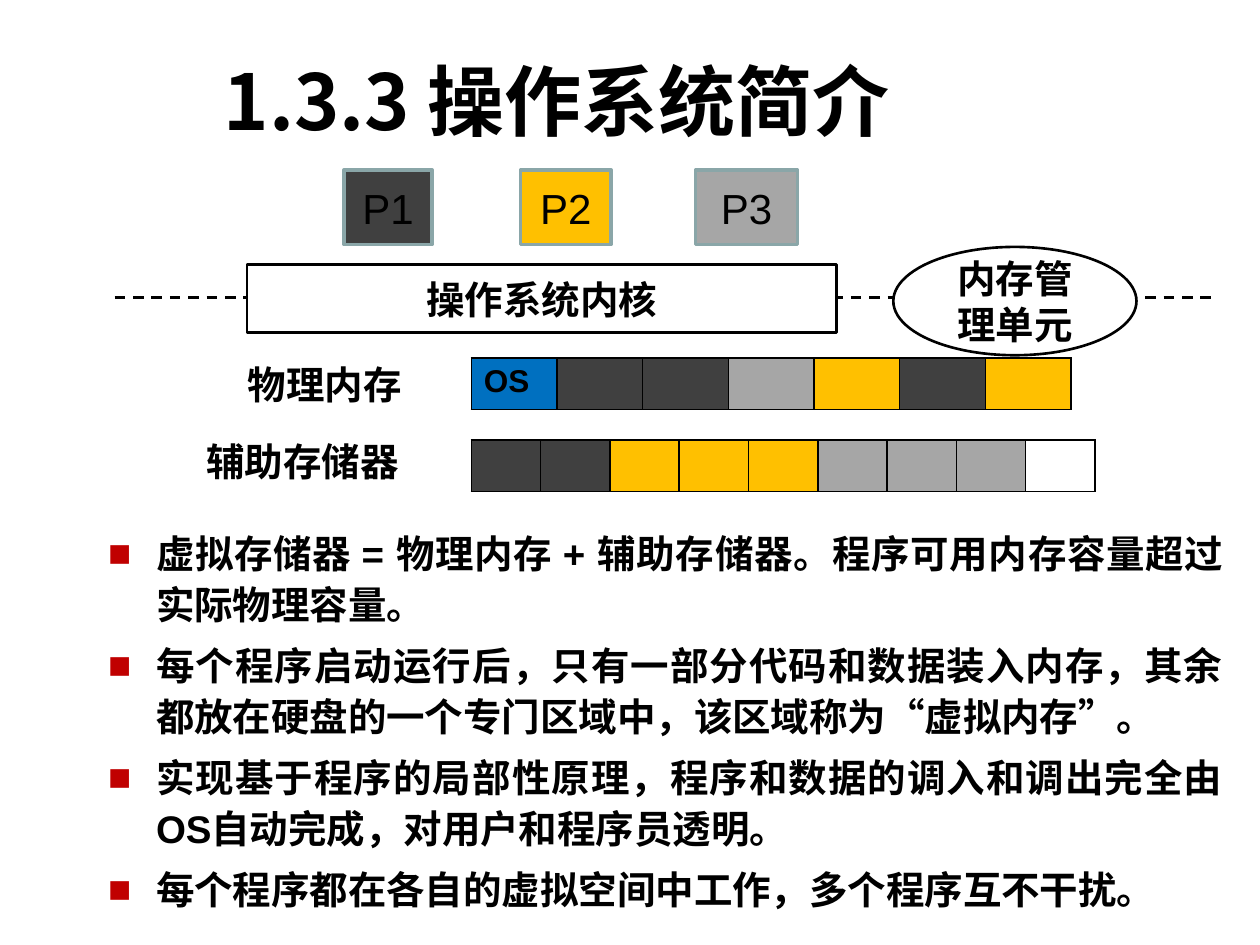
from dataclasses import dataclass

from lxml.etree import SubElement
from pptx import Presentation
from pptx.dml.color import RGBColor
from pptx.enum.dml import MSO_LINE
from pptx.enum.shapes import MSO_CONNECTOR, MSO_SHAPE
from pptx.enum.text import MSO_ANCHOR, PP_ALIGN
from pptx.oxml.ns import qn
from pptx.util import Inches, Pt


@dataclass(frozen=True)
class Theme:
    black: str = "000000"
    white: str = "FFFFFF"
    system: str = "0070C0"
    first: str = "404040"
    second: str = "FFC000"
    third: str = "A6A6A6"
    process_edge: str = "8AA6A8"
    bullet: str = "C00000"
    body_font: str = "Arial"
    label_font: str = "League Spartan"
    chinese_font: str = "Noto Sans CJK SC"
    title_size: int = 44
    process_size: int = 24
    body_size: int = 22
    cell_size: int = 18


@dataclass(frozen=True)
class Node:
    text: str
    left: float
    top: float
    width: float
    height: float
    fill: str
    edge: str
    edge_width: float
    size: int
    bold: bool
    kind: MSO_SHAPE = MSO_SHAPE.RECTANGLE


@dataclass(frozen=True)
class MemoryStrip:
    label: str
    label_left: float
    label_top: float
    label_width: float
    top: float
    cell_width: float
    fills: tuple[str, ...]
    first_text: str = ""


THEME = Theme()
STRIP_LEFT = 3.74
STRIP_HEIGHT = 0.41

PROCESSES = [
    Node(text, left, 1.35, width, 0.59, fill, THEME.process_edge, 2, THEME.process_size, False)
    for text, left, width, fill in (
        ("P1", 2.73, 0.7, THEME.first),
        ("P2", 4.13, 0.72, THEME.second),
        ("P3", 5.52, 0.81, THEME.third),
    )
]
KERNEL = Node("操作系统内核", 1.96, 2.1, 4.68, 0.54, THEME.white, THEME.black, 1.5, THEME.body_size, True)
MEMORY_UNIT = Node("内存管理单元", 7.09, 1.96, 1.93, 0.86, THEME.white, THEME.black, 1.5,
                   THEME.body_size, True, MSO_SHAPE.OVAL)

STRIPS = [
    MemoryStrip("物理内存", 1.87, 2.82, 1.44, 2.84, 0.68,
                (THEME.system, THEME.first, THEME.first, THEME.third,
                 THEME.second, THEME.first, THEME.second), "OS"),
    MemoryStrip("辅助存储器", 1.54, 3.43, 1.75, 3.49, 0.55,
                (THEME.first,) * 2 + (THEME.second,) * 3 + (THEME.third,) * 3 + (THEME.white,)),
]

POINTS = [
    "虚拟存储器 = 物理内存 + 辅助存储器。程序可用内存容量超过实际物理容量。",
    "每个程序启动运行后，只有一部分代码和数据装入内存，其余都放在硬盘的一个专门区域中，该区域称为“虚拟内存”。",
    "实现基于程序的局部性原理，程序和数据的调入和调出完全由OS自动完成，对用户和程序员透明。",
    "每个程序都在各自的虚拟空间中工作，多个程序互不干扰。",
]


def color(value: str) -> RGBColor:
    return RGBColor.from_string(value)


def style_runs(paragraph, size: int, bold: bool = True, font: str = THEME.body_font) -> None:
    for span in paragraph.runs:
        span.font.size = Pt(size)
        span.font.bold = bold
        span.font.name = font
        span.font.color.rgb = color(THEME.black)
        SubElement(span.font._element, qn("a:ea"), typeface=THEME.chinese_font)


def add_text_box(page, left: float, top: float, width: float, height: float, wrap: bool = True):
    box = page.shapes.add_textbox(Inches(left), Inches(top), Inches(width), Inches(height))
    box.text_frame.word_wrap = wrap
    return box.text_frame


def add_title(page, text: str) -> None:
    frame = add_text_box(page, 0.34, 0.22, 8.16, 0.7)
    frame.vertical_anchor = MSO_ANCHOR.MIDDLE
    frame.text = text
    paragraph = frame.paragraphs[0]
    paragraph.alignment = PP_ALIGN.CENTER
    paragraph.line_spacing = 1.6
    style_runs(paragraph, THEME.title_size, font=THEME.chinese_font)


def add_divider(page) -> None:
    line = page.shapes.add_connector(
        MSO_CONNECTOR.STRAIGHT, Inches(0.91), Inches(2.36), Inches(9.62), Inches(2.36))
    line.line.color.rgb = color(THEME.black)
    line.line.width = Pt(1.5)
    line.line.dash_style = MSO_LINE.DASH
    SubElement(line._element.spPr, qn("a:effectLst"))


def add_node(page, node: Node) -> None:
    shape = page.shapes.add_shape(
        node.kind, Inches(node.left), Inches(node.top), Inches(node.width), Inches(node.height))
    shape.shadow.inherit = False
    shape.fill.solid()
    shape.fill.fore_color.rgb = color(node.fill)
    shape.line.color.rgb = color(node.edge)
    shape.line.width = Pt(node.edge_width)
    frame = shape.text_frame
    frame.word_wrap = True
    frame.vertical_anchor = MSO_ANCHOR.MIDDLE
    frame.text = node.text
    frame.paragraphs[0].alignment = PP_ALIGN.CENTER
    style_runs(frame.paragraphs[0], node.size, node.bold)


def format_cell(cell, fill: str) -> None:
    properties = cell._tc.get_or_add_tcPr()
    for side in ("a:lnL", "a:lnR", "a:lnT", "a:lnB"):
        border = SubElement(properties, qn(side), w=str(Pt(1)))
        paint = SubElement(border, qn("a:solidFill"))
        SubElement(paint, qn("a:srgbClr"), val=THEME.black)
    cell.fill.solid()
    cell.fill.fore_color.rgb = color(fill)


def add_strip(page, strip: MemoryStrip) -> None:
    count = len(strip.fills)
    table = page.shapes.add_table(
        1, count, Inches(STRIP_LEFT), Inches(strip.top),
        Inches(strip.cell_width * count), Inches(STRIP_HEIGHT)).table
    table.first_row = table.horz_banding = False
    for column, fill in enumerate(strip.fills):
        table.columns[column].width = Inches(strip.cell_width)
        format_cell(table.cell(0, column), fill)
    if strip.first_text:
        frame = table.cell(0, 0).text_frame
        frame.text = strip.first_text
        style_runs(frame.paragraphs[0], THEME.cell_size)
    label = add_text_box(page, strip.label_left, strip.label_top, strip.label_width, 0.47, wrap=False)
    label.text = strip.label
    style_runs(label.paragraphs[0], THEME.body_size, font=THEME.label_font)


def add_points(page, points: list[str]) -> None:
    frame = add_text_box(page, 0.76, 4.12, 9.05, 3.2)
    for index, text in enumerate(points):
        paragraph = frame.add_paragraph() if index else frame.paragraphs[0]
        paragraph.text = text
        properties = paragraph._p.get_or_add_pPr()
        properties.set("marL", str(Inches(0.38)))
        properties.set("indent", str(-Inches(0.38)))
        bullet_color = SubElement(properties, qn("a:buClr"))
        SubElement(bullet_color, qn("a:srgbClr"), val=THEME.bullet)
        SubElement(properties, qn("a:buFont"), typeface=THEME.body_font)
        SubElement(properties, qn("a:buChar"), char="■")
        paragraph.alignment = PP_ALIGN.JUSTIFY
        paragraph.line_spacing = 1.1
        if index:
            paragraph.space_before = Pt(6)
        style_runs(paragraph, THEME.body_size)


def main() -> None:
    deck = Presentation()
    deck.slide_width, deck.slide_height = Inches(10), Inches(7.5)
    page = deck.slides.add_slide(deck.slide_layouts[6])
    add_divider(page)
    add_points(page, POINTS)
    add_title(page, "1.3.3 操作系统简介")
    for node in (*PROCESSES, KERNEL, MEMORY_UNIT):
        add_node(page, node)
    for strip in STRIPS:
        add_strip(page, strip)
    deck.save("out.pptx")


if __name__ == "__main__":
    main()
